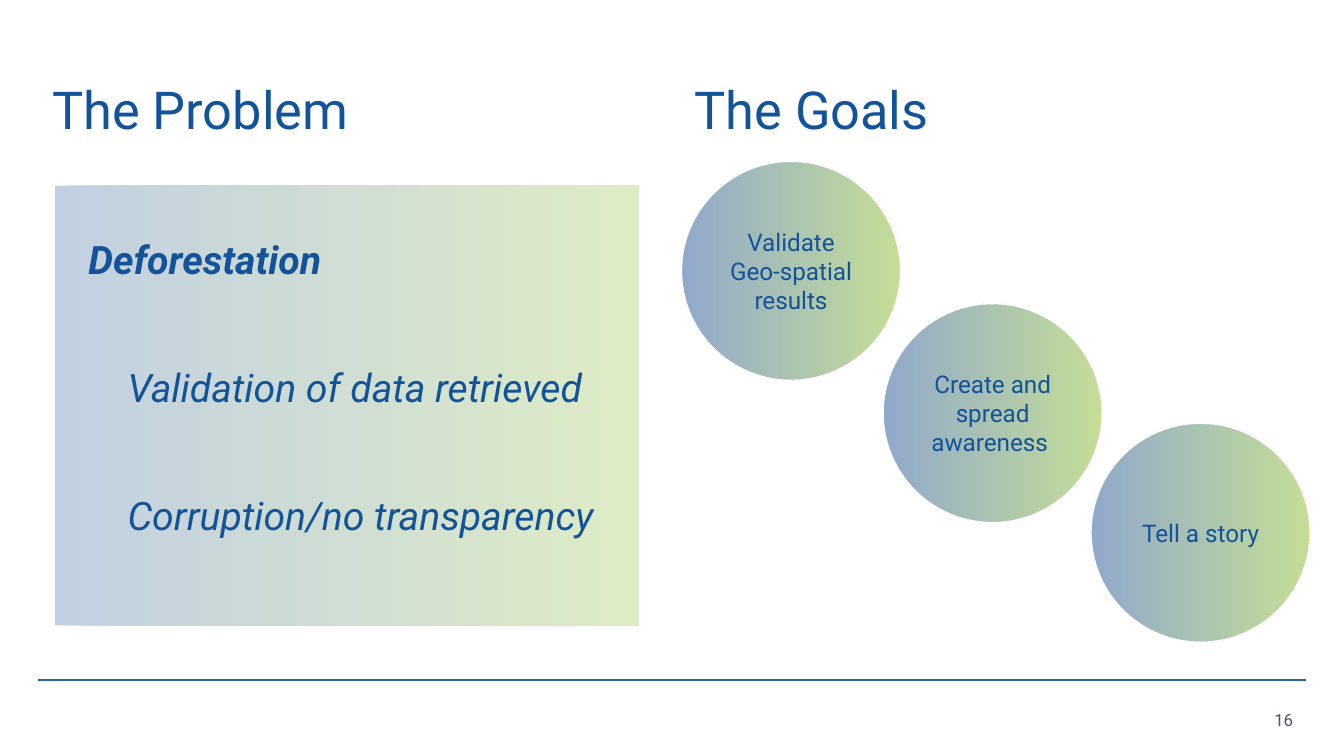
from dataclasses import dataclass

from lxml.etree import SubElement
from pptx import Presentation
from pptx.dml.color import RGBColor
from pptx.enum.shapes import MSO_CONNECTOR, MSO_SHAPE
from pptx.enum.text import MSO_ANCHOR, MSO_AUTO_SIZE, PP_ALIGN
from pptx.oxml.ns import qn
from pptx.util import Cm, Pt


@dataclass(frozen=True)
class Theme:
    font: str = "Roboto"
    ink: str = "135399"
    rule: str = "2A64A8"
    grey: str = "44546A"
    white: str = "FFFFFF"
    paper: str = "FEFFFE"
    blend: tuple = ("3863A2", "96C342")
    head: int = 28
    list: int = 21
    goal: int = 13
    num: int = 9


@dataclass(frozen=True)
class Box:
    left: float
    top: float
    width: float
    height: float


@dataclass(frozen=True)
class Item:
    text: str
    inset: float
    bold: bool = False


@dataclass(frozen=True)
class Goal:
    lines: tuple
    left: float
    top: float


THEME = Theme()
SIZE = 4.14  # circle diameter
HEAD = Box(0.74, 0.74, 6.96, 2.77)
GOAL_HEAD = Box(12.88, 0.74, 6.96, 2.77)
PANEL = Box(1.04, 3.51, 11.02, 8.31)
NUMBER = Box(23.27, 13.23, 1.42, 0.76)
ITEMS = (
    Item("Deforestation", 0.38, True),
    Item("Validation of data retrieved", 1.12),
    Item("Corruption/no transparency", 1.12),
)
GOALS = (
    Goal(("Validate Geo-spatial", "results"), 12.88, 3.05),
    Goal(("Create and spread awareness ",), 16.69, 5.74),
    Goal(("Tell a story",), 20.62, 8.0),
)


def rgb(code: str) -> RGBColor:
    return RGBColor.from_string(code)


def area(box: Box) -> tuple:
    return Cm(box.left), Cm(box.top), Cm(box.width), Cm(box.height)


def place(shape, box: Box) -> None:
    shape.left, shape.top, shape.width, shape.height = area(box)


def blend(shape, alpha: int) -> None:
    """Fill with the left-to-right theme gradient at alpha percent."""
    shape.fill.gradient()
    shape.fill.gradient_angle = 0
    for stop, code in zip(shape.fill.gradient_stops, THEME.blend):
        stop.color.rgb = rgb(code)
    for node in shape.element.spPr.iter(qn("a:srgbClr")):
        SubElement(node, qn("a:alpha"), val=str(alpha * 1000))


def style(para, size: int, color: str = THEME.ink, **extra) -> None:
    form = {"name": THEME.font, "size": Pt(size), "bold": False, **extra}
    for key, value in form.items():
        setattr(para.font, key, value)
    para.font.color.rgb = rgb(color)


def frame(shape, anchor: MSO_ANCHOR):
    body = shape.text_frame
    form = {
        "word_wrap": True,
        "auto_size": MSO_AUTO_SIZE.NONE,
        "vertical_anchor": anchor,
        "margin_left": Cm(0.25),
        "margin_right": Cm(0.25),
        "margin_top": Cm(0.13),
        "margin_bottom": Cm(0.13),
    }
    for key, value in form.items():
        setattr(body, key, value)
    return body


def write_head(shape, text: str) -> None:
    para = frame(shape, MSO_ANCHOR.MIDDLE).paragraphs[0]
    para.text = text
    para.alignment = PP_ALIGN.LEFT
    para.line_spacing = 0.9
    style(para, THEME.head)


def write_list(shape, items: tuple[Item, ...]) -> None:
    body = frame(shape, MSO_ANCHOR.TOP)
    body.margin_top = Cm(1.04)
    for i, item in enumerate(items):
        para = body.add_paragraph() if i else body.paragraphs[0]
        para.text = item.text
        props = para._p.get_or_add_pPr()
        props.set("marL", str(Cm(item.inset)))
        props.set("indent", "0")
        SubElement(props, qn("a:buNone"))
        para.line_spacing = 0.9
        para.space_before = Pt(46 if i else 0)
        style(para, THEME.list, bold=item.bold, italic=True)


def draw_goal(slide, goal: Goal) -> None:
    disc = slide.shapes.add_shape(
        MSO_SHAPE.OVAL, *area(Box(goal.left, goal.top, SIZE, SIZE)))
    disc.shadow.inherit = False
    blend(disc, 54)
    disc.line.color.rgb = rgb(THEME.white)
    disc.line.width = Pt(0.75)
    body = frame(disc, MSO_ANCHOR.MIDDLE)
    body.margin_top = body.margin_bottom = Cm(0.25)
    for i, line in enumerate(goal.lines):
        para = body.add_paragraph() if i else body.paragraphs[0]
        para.text = line
        para.alignment = PP_ALIGN.CENTER
        style(para, THEME.goal)


def draw_foot(slide) -> None:
    rule = slide.shapes.add_connector(
        MSO_CONNECTOR.STRAIGHT, Cm(0.71), Cm(12.85), Cm(24.69), Cm(12.85))
    rule.line.color.rgb = rgb(THEME.rule)
    rule.line.width = Pt(0.75)
    SubElement(rule._element.spPr, qn("a:effectLst"))
    note = slide.shapes.add_textbox(*area(NUMBER))
    para = frame(note, MSO_ANCHOR.MIDDLE).paragraphs[0]
    para.text = "16"
    para.alignment = PP_ALIGN.RIGHT
    style(para, THEME.num, THEME.grey)


def main() -> None:
    deck = Presentation()
    deck.slide_width, deck.slide_height = Cm(25.4), Cm(14.29)
    slide = deck.slides.add_slide(deck.slide_layouts[1])
    slide.background.fill.solid()
    slide.background.fill.fore_color.rgb = rgb(THEME.paper)

    # Rule and page number
    draw_foot(slide)

    # Problem: heading and list panel
    title, panel = slide.shapes.title, slide.placeholders[1]
    place(title, HEAD)
    write_head(title, "The Problem")
    place(panel, PANEL)
    blend(panel, 30)
    write_list(panel, ITEMS)

    # Goals: heading and descending circles
    write_head(slide.shapes.add_textbox(*area(GOAL_HEAD)), "The Goals")
    for goal in GOALS:
        draw_goal(slide, goal)

    deck.save("out.pptx")


if __name__ == "__main__":
    main()
